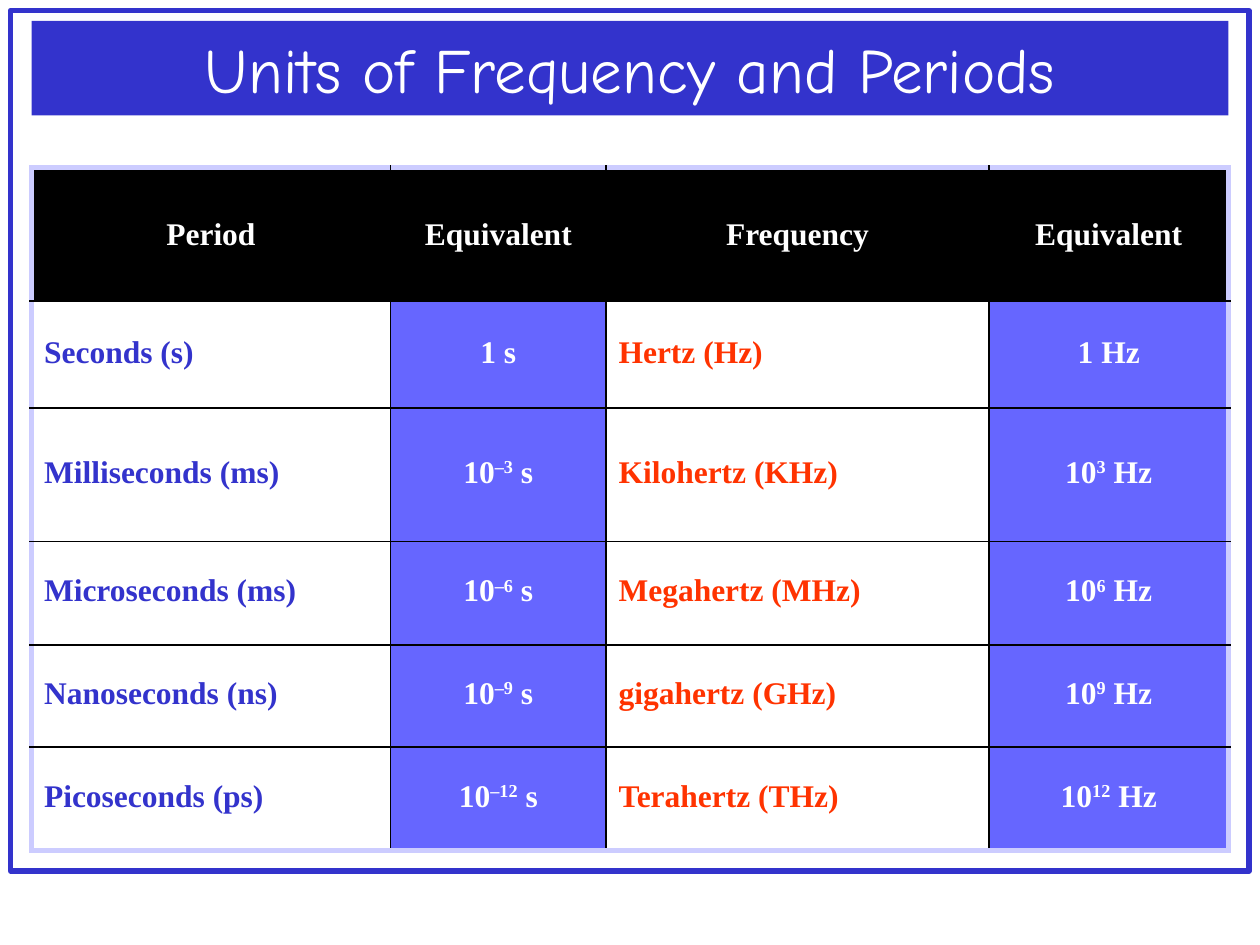
from lxml import etree
from pptx import Presentation
from pptx import util as u
from pptx.dml.color import RGBColor
from pptx.enum import shapes, text
from pptx.oxml.ns import qn

WIDTH, HEIGHT = 10, 7.5
BLUE, VIOLET, PALE = "3333CC", "6666FF", "CCCCFF"
RED, BLACK, WHITE = "FF3300", "000000", "FFFFFF"

COLUMNS = [2.85, 1.71, 3.04, 1.9]
ROWS = [1.06, 0.85, 1.06, 0.82, 0.81, 0.82]
HEADINGS = ["Period", "Equivalent", "Frequency", "Equivalent"]
# Period, its power of ten, frequency, its power of ten
UNITS = [
    ("Seconds (s)", "", "Hertz (Hz)", ""),
    ("Milliseconds (ms)", "–3", "Kilohertz (KHz)", "3"),
    ("Microseconds (ms)", "–6", "Megahertz (MHz)", "6"),
    ("Nanoseconds (ns)", "–9", "gigahertz (GHz)", "9"),
    ("Picoseconds (ps)", "–12", "Terahertz (THz)", "12"),
]


def color(value):
    return RGBColor.from_string(value)


def paint(part, value):
    part.fill.solid()
    part.fill.fore_color.rgb = color(value)


def write(frame, pieces, size=18, font="Times New Roman", ink=WHITE, bold=True,
          align=text.PP_ALIGN.CENTER, spacing=None):
    """Fill a text frame; every second piece is a superscript."""
    para = frame.paragraphs[0]
    para.alignment = align
    para.line_spacing = spacing
    for index, piece in enumerate(pieces):
        span = para.add_run()
        span.text = piece
        span.font.size = u.Pt(size)
        span.font.name = font
        span.font.bold = bold
        span.font.color.rgb = color(ink)
        if index % 2:
            span.font._element.set("baseline", "30000")


def add_borders(cell, row, column):
    """Thick pale lines round the table, thin black lines inside."""
    outer = {"L": column == 0, "R": column == len(COLUMNS) - 1,
             "T": row == 0, "B": row == len(ROWS) - 1}
    properties = cell._tc.get_or_add_tcPr()
    for side, is_outer in outer.items():
        line = etree.SubElement(properties, qn(f"a:ln{side}"),
                                w=str(u.Pt(3 if is_outer else 1)))
        fill = etree.SubElement(line, qn("a:solidFill"))
        etree.SubElement(fill, qn("a:srgbClr"), val=PALE if is_outer else BLACK)


def add_frame(page):
    box = page.shapes.add_shape(
        shapes.MSO_SHAPE.RECTANGLE, u.Inches(WIDTH / 120), u.Inches(WIDTH / 120),
        u.Inches(9.83), u.Inches(6.83))
    box.shadow.inherit = False
    box.fill.background()
    box.line.color.rgb = color(BLUE)
    box.line.width = u.Pt(3)


def add_title(page, words):
    title = page.shapes.title
    title.left, title.top = u.Inches(WIDTH / 40), u.Inches(HEIGHT / 45)
    title.width, title.height = u.Inches(WIDTH * 0.95), u.Inches(HEIGHT / 10)
    paint(title, BLUE)
    title.text_frame.vertical_anchor = text.MSO_ANCHOR.MIDDLE
    write(title.text_frame, [words], size=36, font="Comic Neue", bold=False)


def equivalent(power, unit):
    return ["10", power, f" {unit}"] if power else [f"1 {unit}"]


def add_units_table(page):
    table = page.shapes.add_table(
        len(ROWS), len(COLUMNS), u.Inches(WIDTH / 40), u.Inches(1.33),
        u.Inches(sum(COLUMNS)), u.Inches(sum(ROWS))).table
    table.first_row = table.horz_banding = False
    for column, width in zip(table.columns, COLUMNS):
        column.width = u.Inches(width)
    for row, height in zip(table.rows, ROWS):
        row.height = u.Inches(height)

    contents = [[[heading] for heading in HEADINGS]]
    for period, period_power, frequency, frequency_power in UNITS:
        contents.append([[period], equivalent(period_power, "s"),
                         [frequency], equivalent(frequency_power, "Hz")])

    left, center = text.PP_ALIGN.LEFT, text.PP_ALIGN.CENTER
    # Fill, ink and alignment of each body column
    styles = [(WHITE, BLUE, left), (VIOLET, WHITE, center),
              (WHITE, RED, left), (VIOLET, WHITE, center)]
    for row, entries in enumerate(contents):
        for column, pieces in enumerate(entries):
            fill, ink, align = styles[column] if row else (BLACK, WHITE, center)
            cell = table.cell(row, column)
            cell.vertical_anchor = text.MSO_ANCHOR.MIDDLE
            add_borders(cell, row, column)
            paint(cell, fill)
            write(cell.text_frame, pieces, ink=ink, align=align,
                  spacing=0.8 if row else None)


def main():
    deck = Presentation()
    deck.slide_width, deck.slide_height = u.Inches(WIDTH), u.Inches(HEIGHT)
    page = deck.slides.add_slide(deck.slide_layouts[5])
    add_frame(page)
    add_title(page, "Units of Frequency and Periods")
    add_units_table(page)
    deck.save("out.pptx")


if __name__ == "__main__":
    main()
